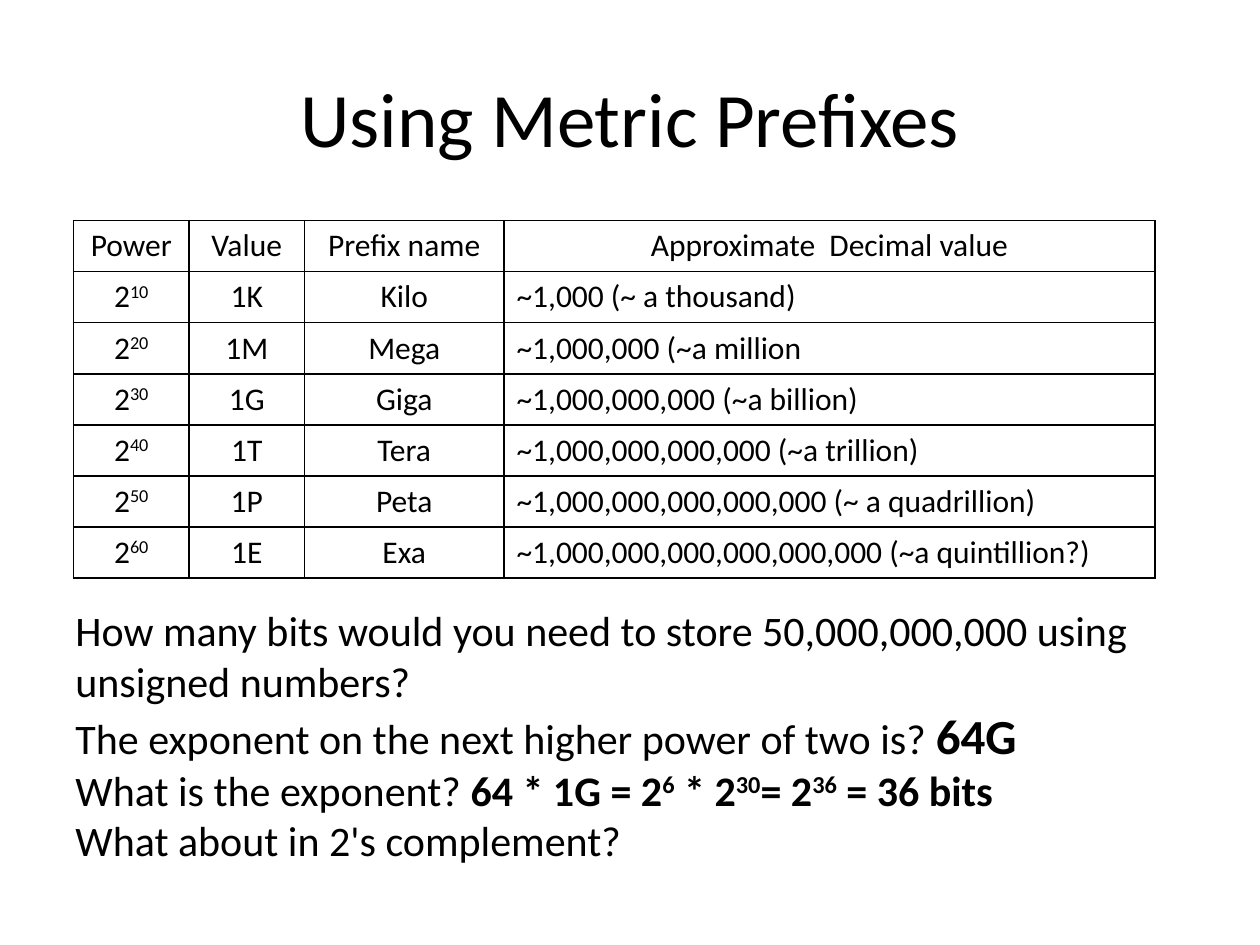
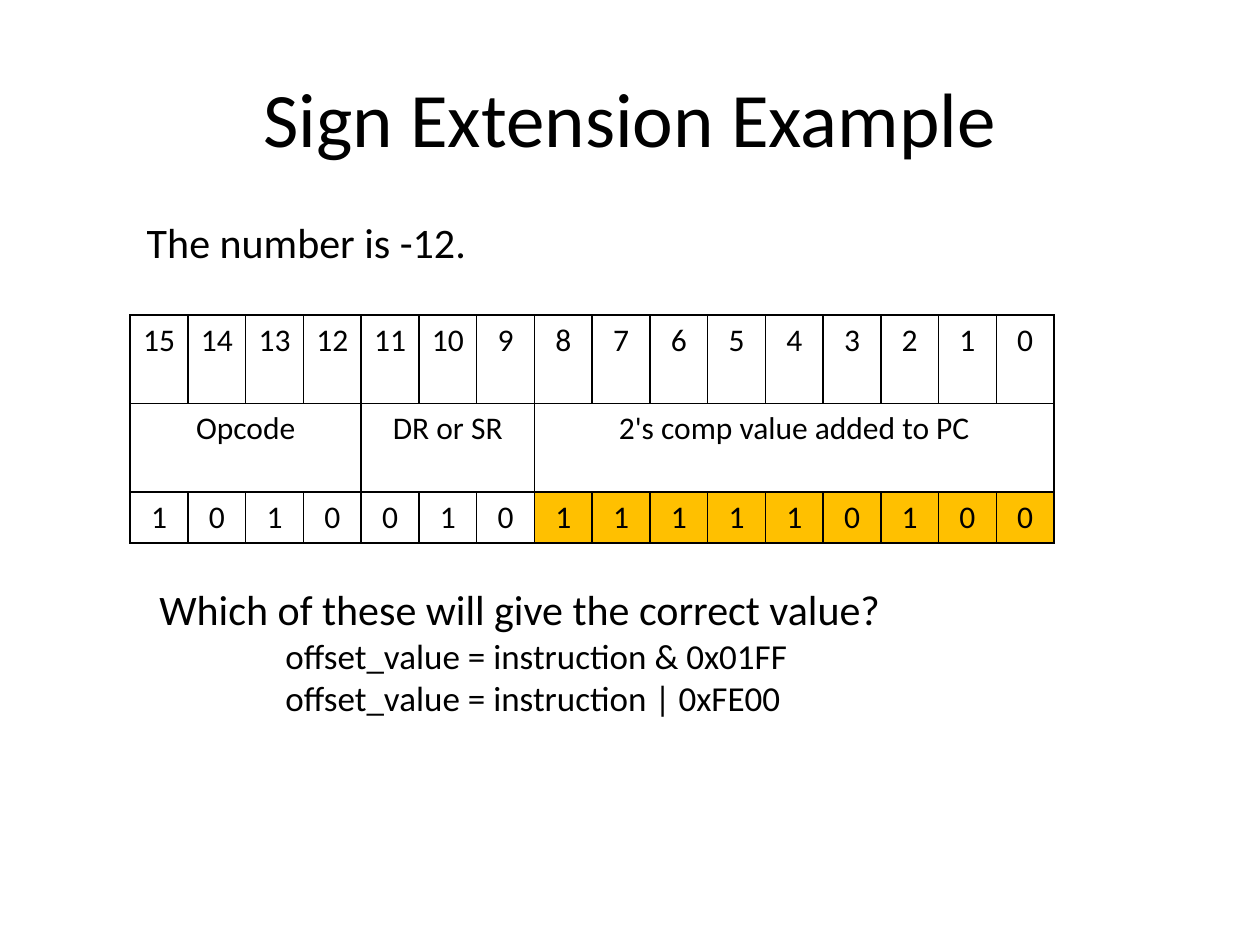
from dataclasses import dataclass

from lxml import etree
from pptx import Presentation
from pptx.dml.color import RGBColor
from pptx.enum.text import MSO_ANCHOR, MSO_AUTO_SIZE, PP_ALIGN
from pptx.oxml.ns import qn
from pptx.util import Inches, Pt

LEFT, CENTER = PP_ALIGN.LEFT, PP_ALIGN.CENTER
MIDDLE = MSO_ANCHOR.MIDDLE
GROW = MSO_AUTO_SIZE.SHAPE_TO_FIT_TEXT


@dataclass(frozen=True)
class Theme:
    font: str = "Calibri"
    ink: RGBColor = RGBColor(0, 0, 0)
    mark: RGBColor = RGBColor(0xFF, 0xC0, 0x00)
    title: int = 44
    large: int = 28
    body: int = 24
    code: int = 20
    cell: int = 18
    border: int = 1


theme = Theme()
prs = Presentation()
prs.slide_width, prs.slide_height = Inches(10), Inches(7.5)
U = prs.slide_width // 120  # grid unit: 120 columns by 90 rows


def add_runs(p, runs, size, align=LEFT):
    """Write (text, style) runs; styles: b bold, ^ superscript, + large."""
    p.alignment = align
    for text, style in runs:
        r = p.add_run()
        r.text = text
        r.font.name = theme.font
        r.font.size = Pt(theme.large if "+" in style else size)
        r.font.bold = "b" in style
        r.font.color.rgb = theme.ink
        if "^" in style:
            r._r.get_or_add_rPr().set("baseline", "30000")


def add_grid(slide, left, top, cols, rows):
    """Add an unfilled table with black borders; sizes in grid units."""
    sp = slide.shapes.add_table(len(rows), len(cols), int(left * U), int(top * U),
                                int(sum(cols) * U), int(sum(rows) * U))
    table = sp.table
    table.first_row = table.horz_banding = False
    for column, width in zip(table.columns, cols):
        column.width = int(width * U)
    for row, height in zip(table.rows, rows):
        row.height = int(height * U)
    for cell in table.iter_cells():
        tcPr = cell._tc.get_or_add_tcPr()
        for side in ("a:lnL", "a:lnR", "a:lnT", "a:lnB"):
            ln = etree.SubElement(tcPr, qn(side), w=str(Pt(theme.border)))
            fill = etree.SubElement(ln, qn("a:solidFill"))
            etree.SubElement(fill, qn("a:srgbClr"), val=str(theme.ink))
        cell.fill.background()
    return table


# Slides and titles
slides = []
for title in ("Using Metric Prefixes", "Sign Extension Example"):
    slide = prs.slides.add_slide(prs.slide_layouts[5])
    sp = slide.shapes.title
    sp.left, sp.top, sp.width, sp.height = (int(n * U) for n in (6, 3.6, 108, 15))
    sp.text_frame.vertical_anchor = MIDDLE
    add_runs(sp.text_frame.paragraphs[0], [(title, "")], theme.title, CENTER)
    slides.append(slide)
prefix_slide, sign_slide = slides

# Prefix table
header = ("Power", "Value", "Prefix name", "Approximate  Decimal value")
prefixes = (
    ("Kilo", "(~ a thousand)"),
    ("Mega", "(~a million"),
    ("Giga", "(~a billion)"),
    ("Tera", "(~a trillion)"),
    ("Peta", "(~ a quadrillion)"),
    ("Exa", "(~a quintillion?)"),
)
table = add_grid(prefix_slide, 7, 21, (11, 11, 19, 62), [4.87] * 7)
for col, text in enumerate(header):
    add_runs(table.cell(0, col).text_frame.paragraphs[0], [(text, "")], theme.cell, CENTER)
for row, (name, words) in enumerate(prefixes, 1):
    values = (
        [("2", ""), (str(10 * row), "^")],
        [("1" + name[0], "")],
        [(name, "")],
        [(f"~{1000 ** row:,} {words}", "")],
    )
    for col, runs in enumerate(values):
        add_runs(table.cell(row, col).text_frame.paragraphs[0], runs, theme.cell,
                 LEFT if col == 3 else CENTER)

# Bit table
table = add_grid(sign_slide, 12.4, 30, [5.5] * 16, (8.43, 8.43, 4.87))
for col, bit in enumerate("1010010111110100"):
    for row, text in ((0, str(15 - col)), (2, bit)):
        add_runs(table.cell(row, col).text_frame.paragraphs[0], [(text, "")],
                 theme.cell, CENTER)
    if col >= 7:
        cell = table.cell(2, col)
        cell.fill.solid()
        cell.fill.fore_color.rgb = theme.mark
for first, last, field in ((0, 3, "Opcode"), (4, 6, "DR or SR"),
                           (7, 15, "2's comp value added to PC")):
    cell = table.cell(1, first)
    cell.merge(table.cell(1, last))
    add_runs(cell.text_frame.paragraphs[0], [(field, "")], theme.cell, CENTER)

# Questions: slide, box in grid units, wrap, lines of (runs, size, indent)
questions = (
    (prefix_slide, (6, 57, 108.4, 26.3), True, (
        ([("How many bits would you need to store 50,000,000,000 "
           "using unsigned numbers?", "")], theme.body, 0),
        ([("The exponent on the next higher power of two is? ", ""), ("64G", "b+")],
         theme.body, 0),
        ([("What is the exponent? ", ""), ("64 * 1G = 2", "b"), ("6", "b^"),
          (" * 2", "b"), ("30", "b^"), ("= 2", "b"), ("36", "b^"),
          (" = 36 bits", "b")], theme.body, 0),
        ([("What about in 2's complement?", "")], theme.body, 0),
    )),
    (sign_slide, (12.8, 20, 33.1, 6), False, (
        ([("The number is -12.", "")], theme.body, 0),
    )),
    (sign_slide, (14, 55, 73, 14.2), True, (
        ([("Which of these will give the correct value?", "")], theme.body, 0),
        ([("offset_value = instruction & 0x01FF", "")], theme.code, 12),
        ([("offset_value = instruction | 0xFE00", "")], theme.code, 12),
    )),
)
for slide, box, wrap, lines in questions:
    tf = slide.shapes.add_textbox(*(int(n * U) for n in box)).text_frame
    tf.word_wrap = wrap
    tf.auto_size = GROW
    for i, (runs, size, indent) in enumerate(lines):
        p = tf.add_paragraph() if i else tf.paragraphs[0]
        if indent:
            p._p.get_or_add_pPr().set("marL", str(indent * U))
        add_runs(p, runs, size)

prs.save("out.pptx")
